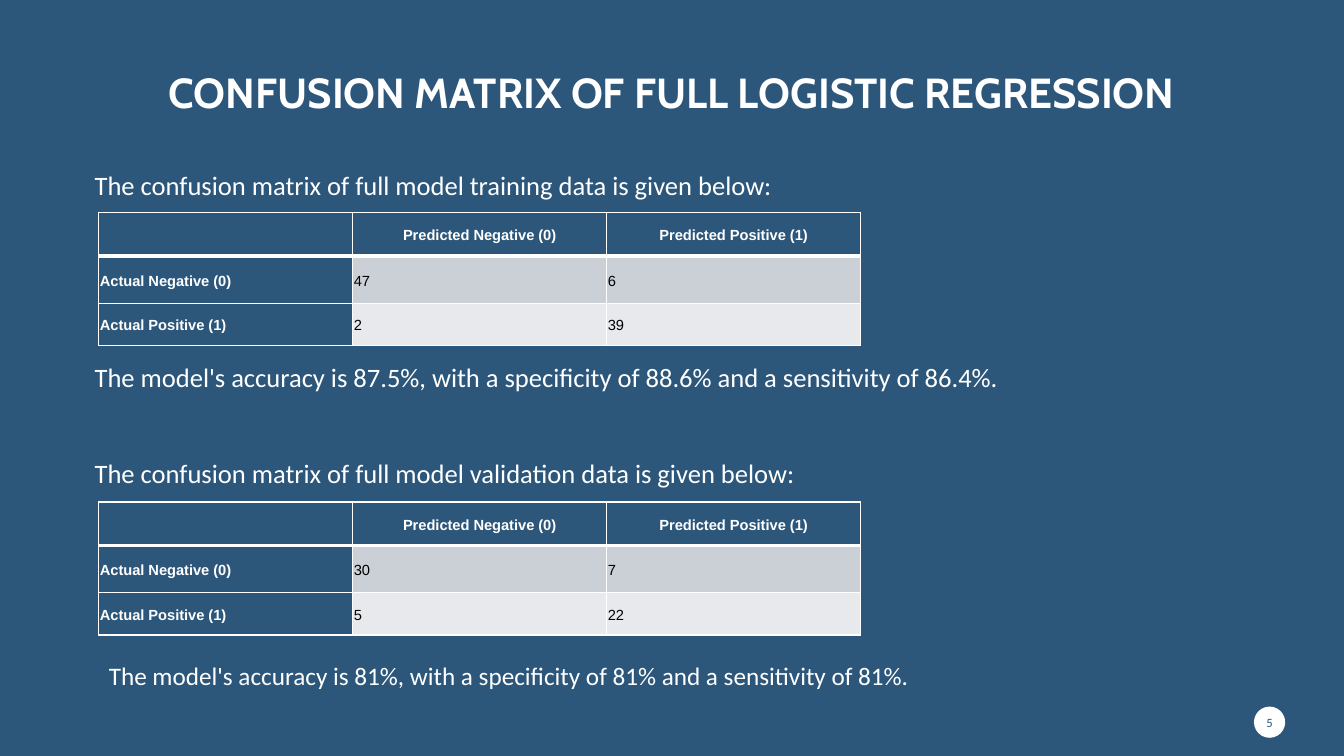
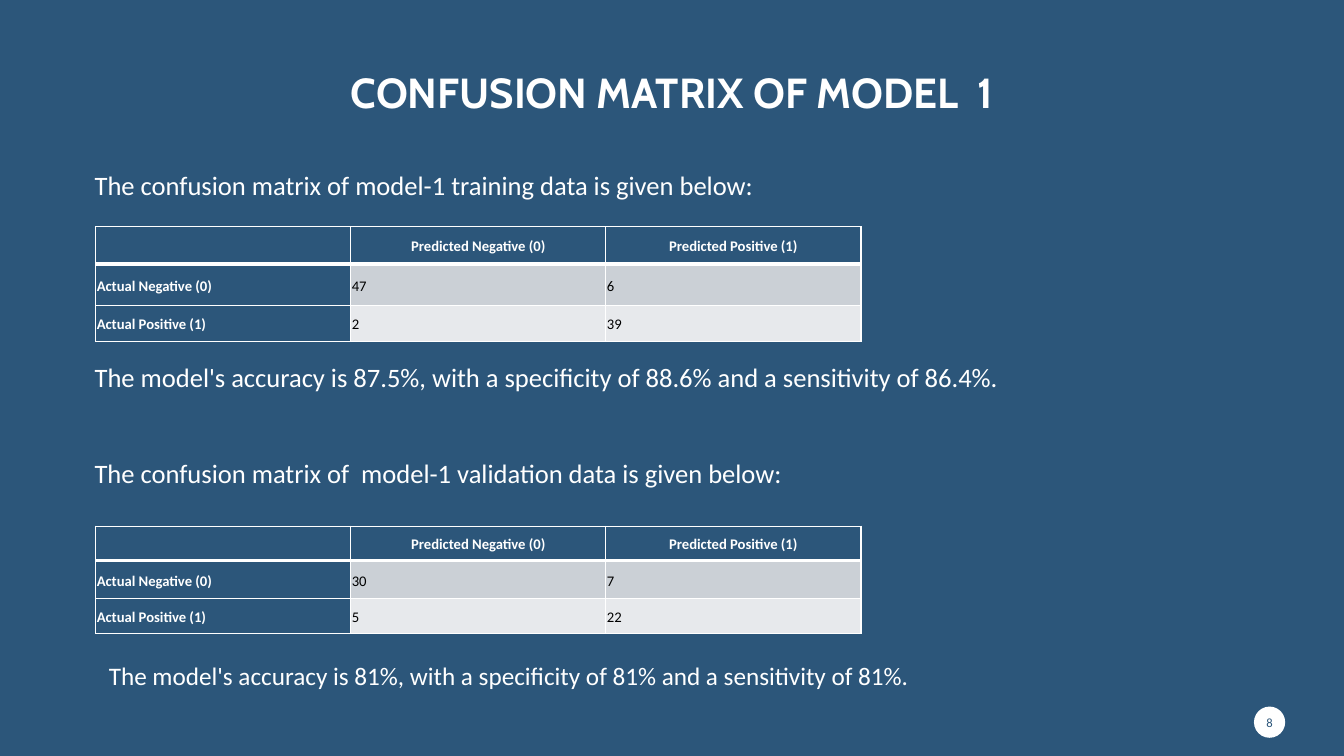
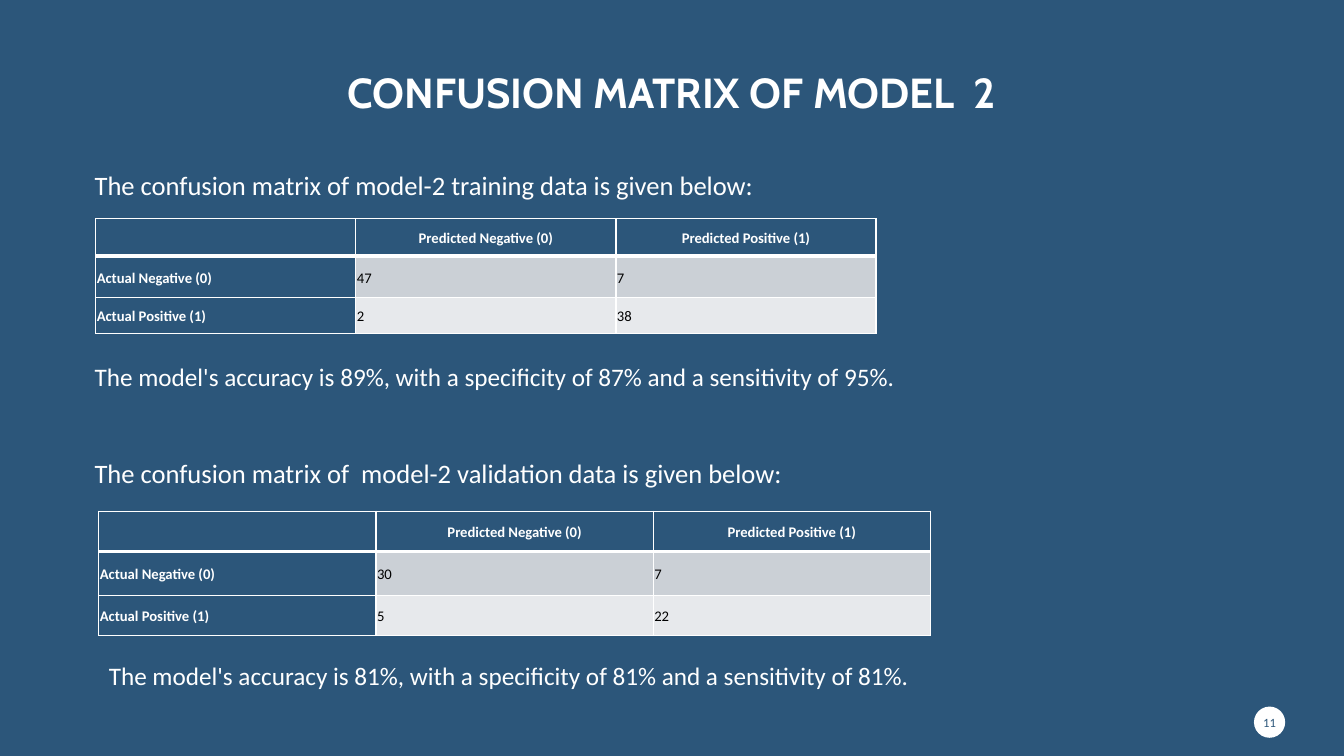
from dataclasses import dataclass

from lxml import etree
from pptx import Presentation
from pptx.dml.color import RGBColor
from pptx.enum.shapes import MSO_SHAPE
from pptx.enum.text import MSO_ANCHOR, MSO_AUTO_SIZE, PP_ALIGN
from pptx.oxml.ns import qn
from pptx.util import Pt

OVAL = MSO_SHAPE.OVAL
MIDDLE, BOTTOM, TOP = MSO_ANCHOR.MIDDLE, MSO_ANCHOR.BOTTOM, MSO_ANCHOR.TOP
NO_FIT = MSO_AUTO_SIZE.NONE
LEFT, CENTER = PP_ALIGN.LEFT, PP_ALIGN.CENTER

NAVY, WHITE, BLACK = "2C567A", "FFFFFF", "000000"
ROW_FILLS = {1: "CBD0D6", 2: "E7E9EC"}
HEADINGS = ("", "Predicted Negative (0)", "Predicted Positive (1)")
ROW_LABELS = ("Actual Negative (0)", "Actual Positive (1)")
MARGINS = ("margin_left", "margin_top", "margin_right", "margin_bottom")
SIDES = ("lnL", "lnR", "lnT", "lnB")
TITLE_BOX = (82.1, 32.4, 795.6, 55.4)
PAGE_BOX = (895.7, 504.7, 22.3, 22.3)
TRAINING_BOX = (60.5, 117.4, 678.2, 190.1)
VALIDATION_BOX = (60.5, 322.6, 678.2, 196.5)
ACCURACY_81 = "The model's accuracy is 81%, with a specificity of 81% and a sensitivity of 81%."
ACCURACY_87 = "The model's accuracy is 87.5%, with a specificity of 88.6% and a sensitivity of 86.4%."
ACCURACY_89 = "The model's accuracy is 89%, with a specificity of 87% and a sensitivity of 95%."


@dataclass
class Verdict:
    """Accuracy sentence with its offset inside a panel."""
    text: str
    dx: float
    dy: float
    width: float
    height: float
    size: int
    spacing: float = 1.0


@dataclass
class Matrix:
    """Counts of a confusion matrix with its offset inside a panel."""
    counts: tuple
    dx: float
    dy: float
    column: float
    rows: tuple
    font: str = "Calibri"


FULL_TRAINING = Verdict(ACCURACY_87, 0, 136.8, 678.2, 53.3, 19)
MODEL_2_TRAINING = Verdict(ACCURACY_89, 0, 115.2, 603.4, 74.2, 18, 2.0)
VALIDATION = Verdict(ACCURACY_81, 10.1, 145.4, 603.4, 51.1, 18)

TRAINING_COUNTS = ((47, 6), (2, 39))
MODEL_2_COUNTS = ((47, 7), (2, 38))
VALIDATION_COUNTS = ((30, 7), (5, 22))
TALL_ROWS = (31, 33.8, 30.2)
MEDIUM_ROWS = (26.6, 29.5, 25.9)

SLIDES = (
    ("CONFUSION MATRIX OF FULL LOGISTIC REGRESSION", "5", (
        (TRAINING_BOX, "The confusion matrix of full model training data is given below:", 505.4,
         Matrix(TRAINING_COUNTS, 10.1, 34.6, 181.4, TALL_ROWS, "Arial"), FULL_TRAINING),
        (VALIDATION_BOX, "The confusion matrix of full model validation data is given below:", 522,
         Matrix(VALIDATION_COUNTS, 10.1, 36, 181.4, TALL_ROWS, "Arial"), VALIDATION))),
    ("CONFUSION MATRIX OF MODEL  1", "8", (
        (TRAINING_BOX, "The confusion matrix of model-1 training data is given below:", 505.4,
         Matrix(TRAINING_COUNTS, 7.9, 44.6, 182.2, MEDIUM_ROWS), FULL_TRAINING),
        (VALIDATION_BOX, "The confusion matrix of  model-1 validation data is given below:", 513.4,
         Matrix(VALIDATION_COUNTS, 7.9, 53.3, 182.2, (24.5, 27.4, 24.5)), VALIDATION))),
    ("CONFUSION MATRIX OF MODEL  2", "11", (
        (TRAINING_BOX, "The confusion matrix of model-2 training data is given below:", 505.4,
         Matrix(MODEL_2_COUNTS, 7.9, 38.9, 185.8, MEDIUM_ROWS), MODEL_2_TRAINING),
        (VALIDATION_BOX, "The confusion matrix of  model-2 validation data is given below:", 513.4,
         Matrix(VALIDATION_COUNTS, 10.1, 42.5, 198, (28.8, 31.7, 28.1)), VALIDATION))),
)


def rgb(color):
    """Turn a hex string into a colour."""
    return RGBColor.from_string(color)


def paint(fill, color):
    """Make a fill solid in the given colour."""
    fill.solid()
    fill.fore_color.rgb = rgb(color)


def assign(target, values):
    """Set each attribute of the target from a dict."""
    for name, value in values.items():
        setattr(target, name, value)


def points(box):
    """Convert a box to lengths in points."""
    return [Pt(length) for length in box]


def write(frame, text, color, size, font="Calibri", bold=False, align=LEFT, spacing=1.0):
    """Write one formatted paragraph into a text frame."""
    paragraph = frame.paragraphs[0]
    assign(paragraph, {"alignment": align, "line_spacing": spacing})
    run = paragraph.add_run()
    run.text = text
    assign(run.font, {"size": Pt(size), "name": font, "bold": bold})
    run.font.color.rgb = rgb(color)


def add_title(slide, text, box):
    """Fill the title placeholder in the given box."""
    title = slide.shapes.title
    assign(title, dict(zip(("left", "top", "width", "height"), points(box))))
    assign(title.text_frame, {"auto_size": NO_FIT, "vertical_anchor": BOTTOM})
    write(title.text_frame, text, WHITE, 30, "Cabin", True, CENTER, 0.9)


def add_page_number(slide, number, box):
    """Draw the white disc with the page number."""
    disc = slide.shapes.add_shape(OVAL, *points(box))
    disc.shadow.inherit = False
    paint(disc.fill, WHITE)
    disc.line.fill.background()
    assign(disc.text_frame, {**dict.fromkeys(MARGINS, 0), "word_wrap": False,
                             "vertical_anchor": MIDDLE})
    write(disc.text_frame, number, NAVY, 9, align=CENTER)


def add_sentence(slide, text, box, size, spacing=1.0):
    """Place one white sentence in the given box."""
    frame = slide.shapes.add_textbox(*points(box)).text_frame
    assign(frame, {"word_wrap": True, "vertical_anchor": TOP})
    write(frame, text, WHITE, size, spacing=spacing)


def add_borders(cell, row):
    """Rule a cell in white, with a heavy line under the header."""
    properties = cell._tc.get_or_add_tcPr()
    for side in SIDES:
        heavy = (row, side) in ((0, "lnB"), (1, "lnT"))
        line = etree.SubElement(properties, qn("a:" + side), w=str(Pt(3 if heavy else 1)))
        solid = etree.SubElement(line, qn("a:solidFill"))
        etree.SubElement(solid, qn("a:srgbClr"), val=WHITE)


def add_matrix(slide, matrix, left, top):
    """Build a confusion matrix at the given corner."""
    box = (left, top, matrix.column * len(HEADINGS), sum(matrix.rows))
    table = slide.shapes.add_table(len(matrix.rows), len(HEADINGS), *points(box)).table
    for column in table.columns:
        column.width = Pt(matrix.column)
    for row, height in zip(table.rows, matrix.rows):
        row.height = Pt(height)
    body = [(label, *counts) for label, counts in zip(ROW_LABELS, matrix.counts)]
    for r, values in enumerate([HEADINGS, *body]):
        for c, value in enumerate(values):
            cell = table.cell(r, c)
            is_label = r == 0 or c == 0
            add_borders(cell, r)
            paint(cell.fill, NAVY if is_label else ROW_FILLS[r])
            assign(cell, {**dict.fromkeys(MARGINS, Pt(0.75)), "vertical_anchor": MIDDLE})
            if value != "":
                write(cell.text_frame, str(value), WHITE if is_label else BLACK, 10.5,
                      matrix.font, is_label, CENTER if r == 0 else LEFT, 1.15)


def add_panel(slide, box, heading, heading_width, matrix, verdict):
    """Place a heading, its matrix and its verdict inside a box."""
    left, top = box[:2]
    add_sentence(slide, heading, (left, top, heading_width, 53.3), 19)
    add_matrix(slide, matrix, left + matrix.dx, top + matrix.dy)
    verdict_box = (left + verdict.dx, top + verdict.dy, verdict.width, verdict.height)
    add_sentence(slide, verdict.text, verdict_box, verdict.size, verdict.spacing)


def main():
    """Build and save the presentation."""
    deck = Presentation()
    assign(deck, {"slide_width": Pt(960), "slide_height": Pt(540)})
    paint(deck.slide_master.background.fill, NAVY)
    for title, number, panels in SLIDES:
        slide = deck.slides.add_slide(deck.slide_layouts.get_by_name("Title Only"))
        add_title(slide, title, TITLE_BOX)
        add_page_number(slide, number, PAGE_BOX)
        for panel in panels:
            add_panel(slide, *panel)
    deck.save("out.pptx")


if __name__ == "__main__":
    main()
